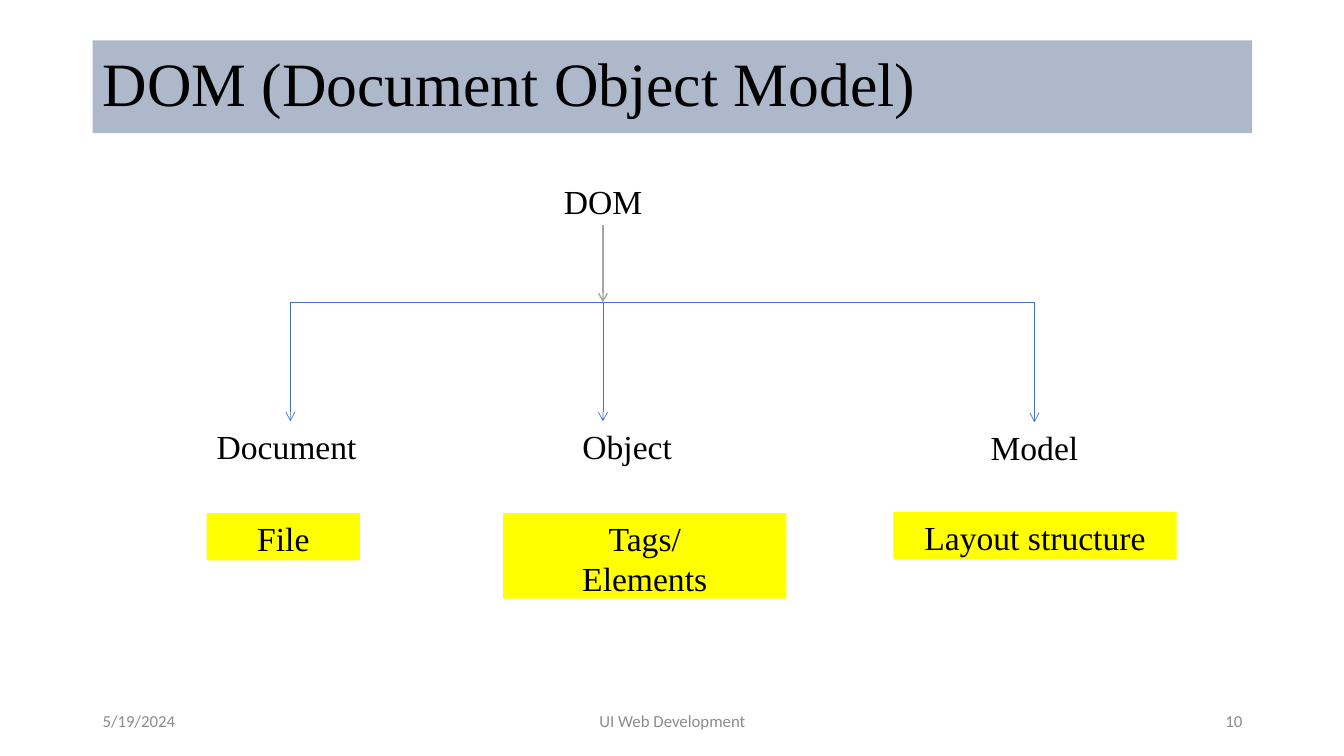
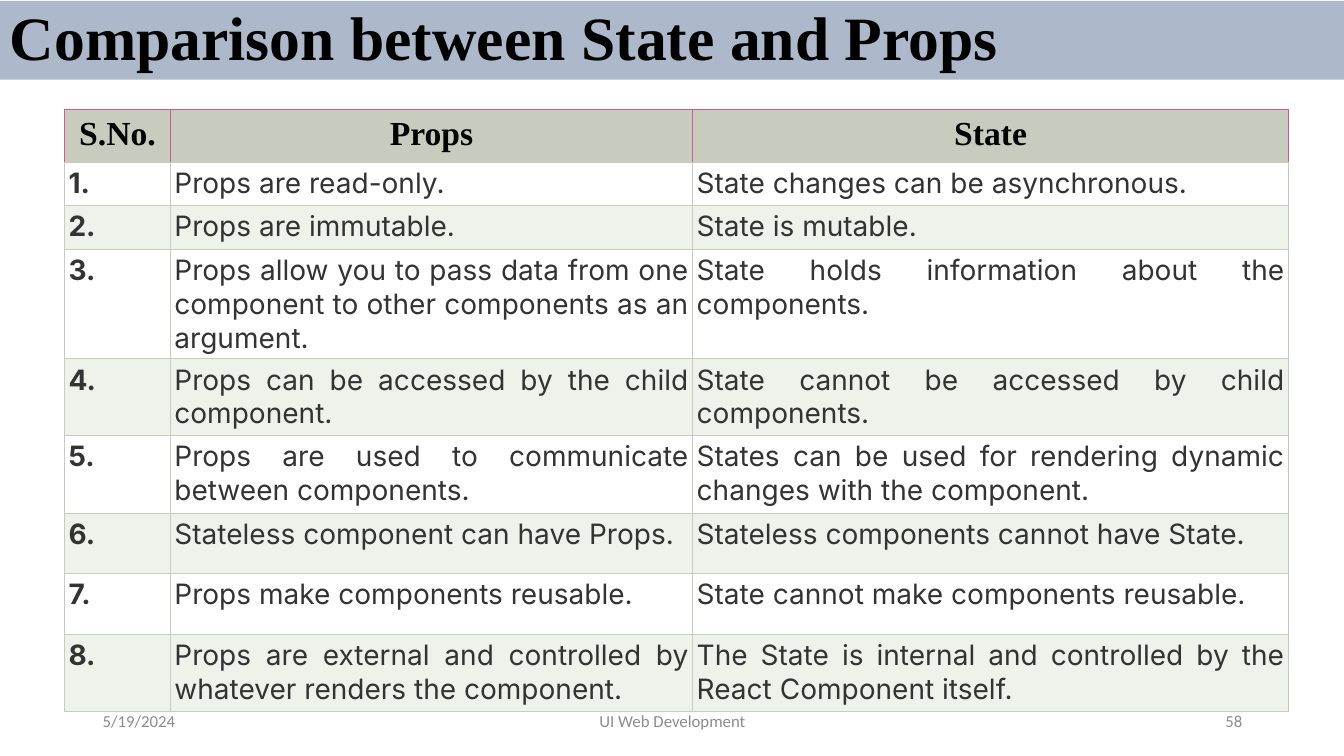
from dataclasses import dataclass

from lxml.etree import SubElement
from pptx import Presentation
from pptx.dml.color import RGBColor
from pptx.enum.shapes import MSO_CONNECTOR as Connector, MSO_SHAPE as Shape
from pptx.enum.text import MSO_ANCHOR as Anchor, PP_ALIGN as Align
from pptx.oxml.ns import qn
from pptx.util import Inches, Pt


@dataclass(frozen=True)
class Theme:
    serif: str = "Times New Roman"
    sans: str = "Inter"
    footer_font: str = "Calibri"
    title_size: int = 44
    label_size: int = 24
    cell_size: int = 20
    footer_size: int = 12
    black: str = "000000"
    band: str = "ADB9CA"
    footer_ink: str = "8C8C8C"
    highlight: str = "FFFF00"
    stem: str = "A5A5A5"
    branch: str = "4472C4"
    header: str = "C7CCBE"
    header_edge: str = "D05991"
    cell_ink: str = "333333"
    stripes: tuple = ("FFFFFF", "EFF1EB")


THEME = Theme()
FOOTER_DATE = "5/19/2024"
FOOTER_TEXT = "UI Web Development"

BRANCHES = [  # label, label box, label alignment, meaning, meaning box, arrow x
    ("Document", (2.05, 4.18, 2.46, 0.48), Align.LEFT,
     "File", (2.05, 5.09, 1.52, 0.47), 2.88),
    ("Object", (4.99, 4.18, 2.46, 0.48), Align.CENTER,
     "Tags/\nElements", (4.99, 5.09, 2.81, 0.85), 5.98),
    ("Model", (9.03, 4.19, 2.46, 0.48), Align.CENTER,
     "Layout structure", (8.86, 5.08, 2.81, 0.47), 10.26),
]

COLUMN_WIDTHS = (1.05, 5.18, 5.91)
ROW_HEIGHTS = (0.49, 0.43, 0.43, 1.09, 0.76, 0.77, 0.6, 0.6, 0.77)
HEADINGS = ("S.No.", "Props", "State")
COMPARISON = [
    ("Props are read-only.", "State changes can be asynchronous."),
    ("Props are immutable.", "State is mutable."),
    ("Props allow you to pass data from one component to other components "
     "as an argument.",
     "State holds information about the components."),
    ("Props can be accessed by the child component.",
     "State cannot be accessed by child components."),
    ("Props are used to communicate between components.",
     "States can be used for rendering dynamic changes with the component."),
    ("Stateless component can have Props.",
     "Stateless components cannot have State."),
    ("Props make components reusable.",
     "State cannot make components reusable."),
    ("Props are external and controlled by whatever renders the component.",
     "The State is internal and controlled by the React Component itself."),
]


def rgb(color):
    return RGBColor.from_string(color)


def write(frame, text, *, font=THEME.serif, size=THEME.label_size,
          color=THEME.black, bold=False, align=Align.LEFT, spacing=None):
    """Fill a text frame, one paragraph for each line of text."""
    frame.word_wrap = True
    frame.text = text
    for paragraph in frame.paragraphs:
        paragraph.alignment = align
        if spacing:
            paragraph.line_spacing = spacing
        for run in paragraph.runs:
            run.font.name = font
            run.font.size = Pt(size)
            run.font.bold = bold
            run.font.color.rgb = rgb(color)


def add_text(slide, box, text, *, fill=None, anchor=Anchor.TOP, **style):
    """Place text in a box, as a filled rectangle when a fill is given."""
    place = [Inches(value) for value in box]
    if fill:
        holder = slide.shapes.add_shape(Shape.RECTANGLE, *place)
        holder.shadow.inherit = False
        holder.fill.solid()
        holder.fill.fore_color.rgb = rgb(fill)
        holder.line.fill.background()
    else:
        holder = slide.shapes.add_textbox(*place)
    write(holder.text_frame, text, **style)
    holder.text_frame.vertical_anchor = anchor
    return holder


def add_line(slide, start, end, color, width, arrow=True):
    line = slide.shapes.add_connector(
        Connector.STRAIGHT, *[Inches(value) for value in (*start, *end)])
    line.line.color.rgb = rgb(color)
    line.line.width = Pt(width)
    if arrow:
        SubElement(line.line._get_or_add_ln(), qn("a:tailEnd"), type="arrow")
    SubElement(line._element.spPr, qn("a:effectLst"))
    return line


def add_title(slide, box, text, bold=False):
    add_text(slide, box, text, fill=THEME.band, anchor=Anchor.MIDDLE,
             size=THEME.title_size, bold=bold, spacing=0.9)


def add_footer(slide, number, top=6.95, height=0.4):
    parts = [(0.92, 3, FOOTER_DATE, Align.LEFT),
             (4.42, 4.5, FOOTER_TEXT, Align.CENTER),
             (9.42, 3, str(number), Align.RIGHT)]
    for left, width, text, align in parts:
        add_text(slide, (left, top, width, height), text, align=align,
                 anchor=Anchor.MIDDLE, font=THEME.footer_font,
                 size=THEME.footer_size, color=THEME.footer_ink)


def add_dom_tree(slide, root_box, bar_y, arrow_end):
    left, top, width, height = root_box
    root = add_text(slide, root_box, "DOM", align=Align.CENTER)
    root_x = left + width / 2
    stem = add_line(slide, (root_x, top + height), (root_x, bar_y),
                    THEME.stem, 1)
    stem.begin_connect(root, 2)
    add_line(slide, (BRANCHES[0][-1], bar_y), (BRANCHES[-1][-1], bar_y),
             THEME.branch, 0.5, arrow=False)

    for label, label_box, align, meaning, meaning_box, arrow_x in BRANCHES:
        node = add_text(slide, label_box, label, align=align)
        arrow = add_line(slide, (arrow_x, bar_y), (arrow_x, arrow_end),
                         THEME.branch, 0.5)
        if abs(label_box[0] + label_box[2] / 2 - arrow_x) < 0.01:
            arrow.end_connect(node, 0)
        add_text(slide, meaning_box, meaning, fill=THEME.highlight,
                 align=Align.CENTER)


def set_borders(cell, left, right, top, bottom):
    properties = cell._tc.get_or_add_tcPr()
    for side, color in zip("LRTB", (left, right, top, bottom)):
        edge = SubElement(properties, qn(f"a:ln{side}"), w=str(Pt(0.75)))
        fill = SubElement(edge, qn("a:solidFill"))
        SubElement(fill, qn("a:srgbClr"), val=color)


def fill_cell(cell, text, fill, margin, borders, **style):
    cell.margin_left = cell.margin_right = Inches(margin)
    cell.margin_top = cell.margin_bottom = Inches(margin)
    set_borders(cell, *borders)
    cell.fill.solid()
    cell.fill.fore_color.rgb = rgb(fill)
    write(cell.text_frame, text, **style)


def add_comparison(slide, left, top):
    table = slide.shapes.add_table(
        len(ROW_HEIGHTS), len(COLUMN_WIDTHS), Inches(left), Inches(top),
        Inches(sum(COLUMN_WIDTHS)), Inches(sum(ROW_HEIGHTS))).table
    table.first_row = table.horz_banding = False
    for column, width in zip(table.columns, COLUMN_WIDTHS):
        column.width = Inches(width)
    for row, height in zip(table.rows, ROW_HEIGHTS):
        row.height = Inches(height)

    header_borders = (THEME.header_edge,) * 3 + (THEME.header,)
    for column, heading in enumerate(HEADINGS):
        fill_cell(table.cell(0, column), heading, THEME.header, 0.06,
                  header_borders, bold=True, align=Align.CENTER)
    for number, points in enumerate(COMPARISON, 1):
        stripe = THEME.stripes[(number - 1) % 2]
        for column, text in enumerate((f"{number}.", *points)):
            fill_cell(table.cell(number, column), text, stripe, 0.04,
                      (THEME.header,) * 4, font=THEME.sans,
                      size=THEME.cell_size, color=THEME.cell_ink,
                      bold=column == 0, align=Align.JUSTIFY)


def build_dom_slide(slide):
    add_title(slide, (0.92, 0.4, 11.5, 0.92), "DOM (Document Object Model)")
    add_footer(slide, 10)
    add_dom_tree(slide, (5.22, 1.75, 1.52, 0.48), bar_y=3, arrow_end=4.18)


def build_comparison_slide(slide):
    add_title(slide, (0, 0.01, 13.33, 0.78),
              "Comparison between State and Props", bold=True)
    add_footer(slide, 58)
    add_comparison(slide, 0.64, 1.09)


def main():
    deck = Presentation()
    deck.slide_width = Inches(13.33)
    deck.slide_height = Inches(7.5)
    blank = deck.slide_layouts[6]
    for build in (build_dom_slide, build_comparison_slide):
        build(deck.slides.add_slide(blank))
    deck.save("out.pptx")


if __name__ == "__main__":
    main()
